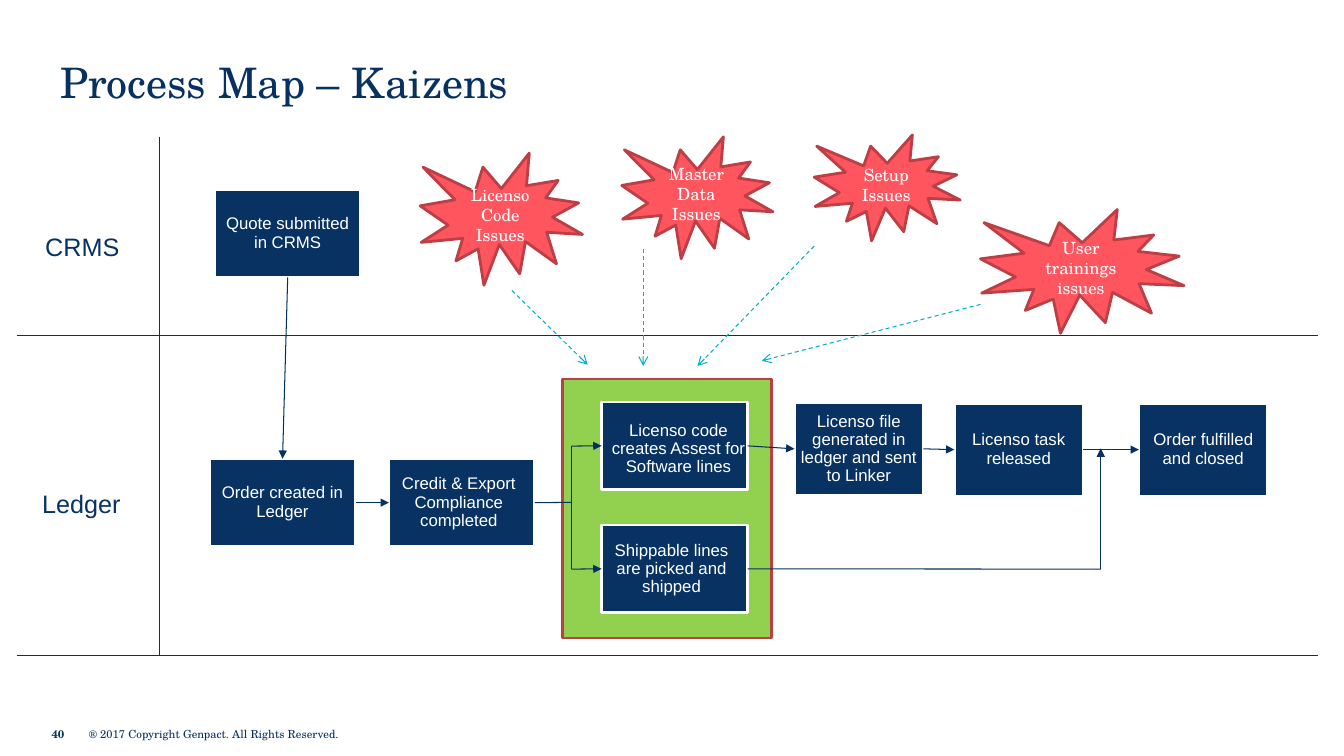
"""Build the process map slide with its swim lanes, steps and issue bursts."""
from dataclasses import dataclass
from typing import NamedTuple, Optional, Union

from lxml.etree import SubElement
from pptx import Presentation
from pptx.dml.color import RGBColor
from pptx.enum.dml import MSO_LINE as Dash
from pptx.enum.shapes import MSO_CONNECTOR as Conn, MSO_SHAPE as Kind
from pptx.enum.text import MSO_ANCHOR as Anchor, PP_ALIGN as Align
from pptx.oxml.ns import qn
from pptx.util import Cm, Pt

NAVY = RGBColor(0x07, 0x32, 0x62)
INK = RGBColor(0x05, 0x31, 0x62)
HEAD = RGBColor(0x06, 0x31, 0x61)
WHITE = RGBColor(0xFF, 0xFF, 0xFF)
GREEN = RGBColor(0x92, 0xD0, 0x50)
CORAL = RGBColor(0xFF, 0x55, 0x5F)
RED = RGBColor(0xBD, 0x3F, 0x46)
CYAN = RGBColor(0x00, 0xAE, 0xCF)
SANS, SERIF = "Arial", "TeX Gyre Schola"
TOP, LEFT, BOTTOM, RIGHT = range(4)


class Area(NamedTuple):
    left: float
    top: float
    width: float
    height: float


class Point(NamedTuple):
    x: float
    y: float


class Port(NamedTuple):
    step: str
    side: int


@dataclass
class Step:
    name: str
    text: str
    area: Area
    pad: tuple = (0.13, 0.13, 0.13, 0.13)


@dataclass
class Burst:
    text: str
    area: Area


@dataclass
class Label:
    text: str
    area: Area
    size: float
    font: str
    bold: bool = False
    pad: tuple = (0.25, 0.13, 0.25, 0.13)
    anchor: Anchor = Anchor.TOP


@dataclass
class Wire:
    start: Union[Point, Port]
    end: Union[Point, Port]
    head: Optional[str] = "triangle"
    color: RGBColor = INK
    dash: bool = False


WIDE, SLIM = (3.68, 2.21), (3.25, 2.34)
SHIFT = (0.13, 0.13, 0.28, 0.13)
STEPS = [
    Step("quote", "Quote submitted in CRMS", Area(5.41, 4.78, *WIDE)),
    Step("order", "Order created in Ledger", Area(5.28, 11.56, *WIDE)),
    Step("credit", "Credit & Export Compliance completed", Area(9.8, 11.56, *WIDE), SHIFT),
    Step("code", "Licenso code creates Assest for Software lines",
         Area(15.16, 10.13, *WIDE), (0.2, 0.28, 0, 0.13)),
    Step("ship", "Shippable lines are picked and shipped", Area(15.16, 13.23, *WIDE), SHIFT),
    Step("file", "Licenso file generated in ledger and sent to Linker", Area(20.02, 10.14, *SLIM)),
    Step("task", "Licenso task released", Area(24.05, 10.16, *SLIM)),
    Step("done", "Order fulfilled and closed", Area(28.7, 10.16, *SLIM)),
]
BURSTS = [
    Burst("User trainings issues", Area(24.71, 5.28, 5.13, 3.12)),
    Burst("Setup Issues", Area(20.52, 3.4, 3.68, 2.67)),
    Burst("Master Data Issues", Area(15.67, 3.45, 3.81, 3.07)),
    Burst("Licenso Code Issues", Area(10.59, 3.86, 4.09, 3.33)),
]
NO_PAD = (0, 0, 0, 0)
LABELS = [
    Label("CRMS", Area(0.89, 5.69, 4.88, 1.02), 18, SANS),
    Label("Ledger", Area(0.81, 12.17, 4.88, 1.02), 18, SANS),
    Label("40", Area(1.3, 18.19, 0.9, 0.61), 8, SERIF, True, NO_PAD, Anchor.MIDDLE),
    Label("® 2017 Copyright Genpact. All Rights Reserved.",
          Area(2.24, 18.19, 6.8, 0.61), 8, SERIF, False, NO_PAD, Anchor.MIDDLE),
]
LANES = [
    Wire(Point(4.01, 3.45), Point(4.01, 16.51), None),
    Wire(Point(0.43, 8.46), Point(33.22, 8.46), None),
    Wire(Point(0.43, 16.51), Point(33.22, 16.51), None),
]
FORK, JOIN = 14.4, 27.74
FLOWS = [
    Wire(Port("quote", BOTTOM), Port("order", TOP)),
    Wire(Port("order", RIGHT), Port("credit", LEFT)),
    Wire(Port("credit", RIGHT), Point(FORK, 12.66), None),
    Wire(Point(FORK, 11.24), Point(FORK, 14.34), None),
    Wire(Point(FORK, 11.24), Port("code", LEFT)),
    Wire(Point(FORK, 14.34), Port("ship", LEFT)),
    Wire(Port("code", RIGHT), Port("file", LEFT)),
    Wire(Port("file", RIGHT), Port("task", LEFT)),
    Wire(Port("task", RIGHT), Port("done", LEFT)),
    Wire(Port("ship", RIGHT), Point(JOIN, 14.34), None),
    Wire(Point(JOIN, 14.34), Point(JOIN, 11.3)),
]
CAUSES = [
    Wire(Point(*start), Point(*end), "arrow", CYAN, True)
    for start, end in [
        ((12.9, 7.32), (14.81, 9.19)),
        ((16.21, 6.27), (16.21, 9.22)),
        ((20.52, 6.2), (17.58, 9.22)),
        ((24.71, 7.67), (19.2, 9.09)),
    ]
]


def write(frame, text: str, size: float, font: str, color: RGBColor,
          align=Align.LEFT, anchor=Anchor.MIDDLE, pad=(0.25, 0.13, 0.25, 0.13),
          bold: bool = False) -> None:
    """Fill a text frame and format its run."""
    frame.text = text
    frame.word_wrap = True
    frame.vertical_anchor = anchor
    (frame.margin_left, frame.margin_top,
     frame.margin_right, frame.margin_bottom) = map(Cm, pad)
    para = frame.paragraphs[0]
    para.alignment = align
    face = para.runs[0].font
    face.size, face.name, face.bold = Pt(size), font, bold
    face.color.rgb = color


def draw(shapes, kind, area: Area, fill: RGBColor, line: RGBColor):
    """Add a filled shape with a two point outline."""
    shape = shapes.add_shape(kind, *map(Cm, area))
    shape.shadow.inherit = False
    shape.fill.solid()
    shape.fill.fore_color.rgb = fill
    shape.line.color.rgb = line
    shape.line.width = Pt(2)
    return shape


def link(shapes, wire: Wire, steps: dict) -> None:
    """Add a connector, joined to steps at its ports."""
    ends = [Point(0, 0) if isinstance(e, Port) else e for e in (wire.start, wire.end)]
    conn = shapes.add_connector(Conn.STRAIGHT, *(Cm(v) for end in ends for v in end))
    for end, join in ((wire.start, conn.begin_connect), (wire.end, conn.end_connect)):
        if isinstance(end, Port):
            join(steps[end.step], end.side)
    conn.line.color.rgb = wire.color
    conn.line.width = Pt(0.75)
    if wire.dash:
        conn.line.dash_style = Dash.DASH
    props = conn.line._get_or_add_ln()
    if wire.head:
        SubElement(props, qn("a:tailEnd"), type=wire.head)
    SubElement(props.getparent(), qn("a:effectLst"))


def main() -> None:
    """Build and save the slide."""
    deck = Presentation()
    deck.slide_width, deck.slide_height = Cm(33.87), Cm(19.05)
    slide = deck.slides.add_slide(deck.slide_layouts[5])
    shapes = slide.shapes
    title = shapes.title
    title.left, title.top, title.width, title.height = map(Cm, (1.27, 1.32, 20.09, 1.47))
    write(title.text_frame, "Process Map – Kaizens", 30, SERIF, HEAD)
    draw(shapes, Kind.RECTANGLE, Area(14.17, 9.55, 5.28, 6.53), GREEN, RED)
    steps = {}
    for step in STEPS:
        box = draw(shapes, Kind.RECTANGLE, step.area, NAVY, WHITE)
        write(box.text_frame, step.text, 12, SANS, WHITE, Align.CENTER, pad=step.pad)
        box.text_frame.paragraphs[0].line_spacing = 0.9
        steps[step.name] = box
    for wire in LANES + FLOWS + CAUSES:
        link(shapes, wire, steps)
    for burst in BURSTS:
        star = draw(shapes, Kind.EXPLOSION1, burst.area, CORAL, RED)
        write(star.text_frame, burst.text, 12, SERIF, WHITE, Align.CENTER)
    for label in LABELS:
        box = shapes.add_textbox(*map(Cm, label.area))
        write(box.text_frame, label.text, label.size, label.font, NAVY,
              anchor=label.anchor, pad=label.pad, bold=label.bold)
    deck.save("out.pptx")


if __name__ == "__main__":
    main()
